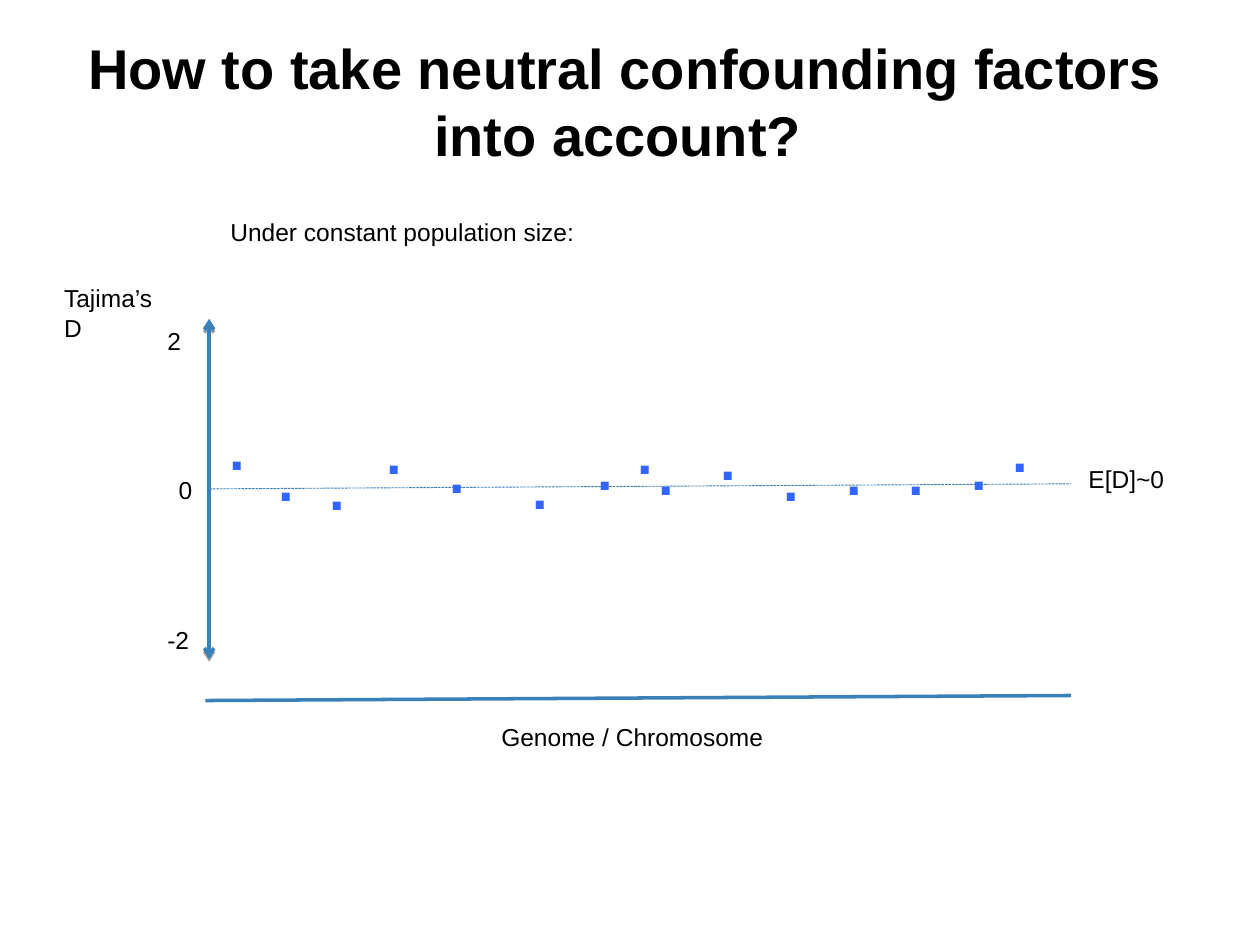
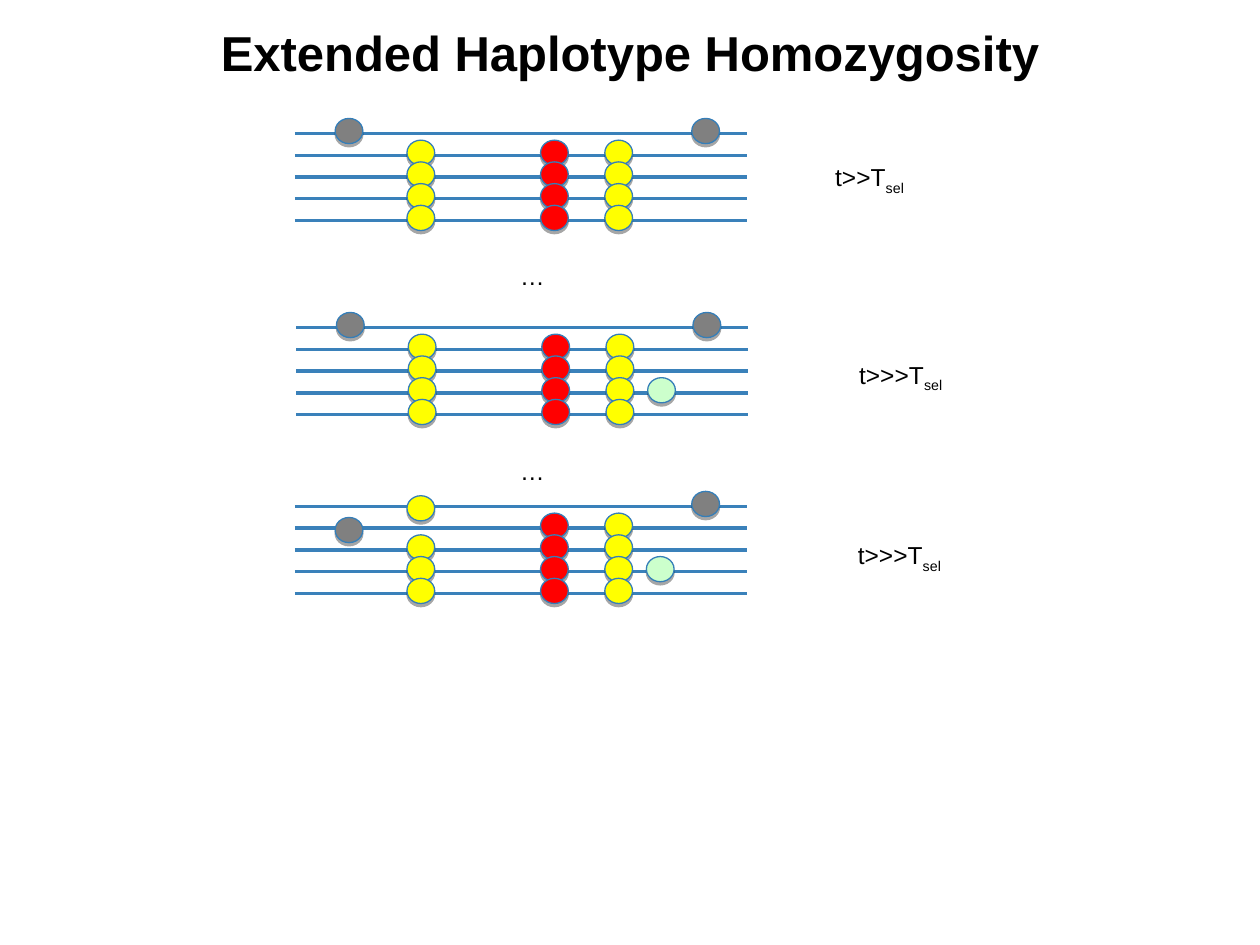
from lxml import etree
from pptx import Presentation
from pptx.dml.color import RGBColor
from pptx.enum.dml import MSO_LINE
from pptx.enum.shapes import MSO_CONNECTOR, MSO_SHAPE
from pptx.enum.text import MSO_ANCHOR, MSO_AUTO_SIZE, PP_ALIGN
from pptx.oxml import parse_xml
from pptx.oxml.ns import nsdecls, qn
from pptx.util import Inches, Pt

# Shared style
FONT = "Arial"
BLACK = RGBColor(0x00, 0x00, 0x00)
LINE_BLUE = RGBColor(0x3A, 0x81, 0xBA)
RIM_BLUE = RGBColor(0x35, 0x7E, 0xB8)
DOT_BLUE = RGBColor(0x33, 0x66, 0xFF)
GREY = RGBColor(0x80, 0x80, 0x80)
YELLOW = RGBColor(0xFF, 0xFF, 0x00)
RED = RGBColor(0xFF, 0x00, 0x00)
MINT = RGBColor(0xCC, 0xFF, 0xCC)
BODY_SIZE, BIG_SIZE = 14, 32

# Slide 1: Tajima's D along the genome (left, top, width, text)
TAJIMA_TITLE = "How to take neutral confounding factors into account? "
TAJIMA_LABELS = [
    (0.41, 2.20, 1.09, "Tajima’s D"),
    (1.32, 3.72, 0.31, "0"),
    (1.23, 2.54, 0.31, "2"),
    (1.23, 4.91, 0.37, "-2"),
    (3.88, 5.68, 2.28, "Genome / Chromosome"),
    (8.54, 3.63, 0.80, "E[D]~0"),
    (1.73, 1.67, 2.93, "Under constant population size:"),
]
AXIS_X, PLOT_RIGHT = 1.66, 8.5
ZERO_Y, AXIS_TOP, AXIS_BOTTOM = 3.84, 2.53, 5.23
DOT_SIZE = (0.32, 0.63)
DOTS = [
    (1.72, 3.24), (2.11, 3.49), (2.52, 3.56), (2.97, 3.27), (3.47, 3.42),
    (4.13, 3.55), (4.64, 3.40), (4.96, 3.27), (5.13, 3.44), (5.62, 3.32),
    (6.12, 3.49), (6.62, 3.44), (7.11, 3.44), (7.61, 3.40), (7.94, 3.26),
]

# Slide 2: each panel has five haplotypes; alleles are (site, colour, rows)
EHH_TITLE = "Extended Haplotype Homozygosity"
SITES = {"outer left": 0.32, "left": 0.89, "selected": 1.95,
         "right": 2.46, "new": 2.79, "outer right": 3.15}
SWEPT = [1, 2, 3, 4]
COMMON = [("selected", RED, SWEPT), ("right", YELLOW, SWEPT),
          ("outer right", GREY, [0])]
LINKED = [("outer left", GREY, [0]), ("left", YELLOW, SWEPT)]
MUTATION = [("new", MINT, [3])]
RECOMBINED = [("outer left", GREY, [1.2]), ("left", YELLOW, [0.2, 2, 3, 4])]
PANELS = [
    {"at": (2.34, 1.06), "alleles": COMMON + LINKED,
     "time": "t>>T", "time_at": (6.53, 1.24)},
    {"at": (2.35, 2.60), "alleles": COMMON + LINKED + MUTATION,
     "time": "t>>>T", "time_at": (6.72, 2.81)},
    {"at": (2.34, 4.02), "alleles": COMMON + RECOMBINED + MUTATION,
     "time": "t>>>T", "time_at": (6.71, 4.24)},
]
ELLIPSES = [(4.03, 2.02), (4.03, 3.57)]
HAPLOTYPES, HAPLOTYPE_LENGTH, ROW_PITCH = 5, 3.59, 0.69 / 4
ALLELE_SIZE, ALLELE_LIFT = (0.22, 0.20), 0.12


def add_run(paragraph, text, size=BODY_SIZE, color=BLACK, bold=False):
    run = paragraph.add_run()
    run.text = text
    run.font.name, run.font.size, run.font.bold = FONT, Pt(size), bold
    run.font.color.rgb = color
    return run


def add_title_slide(prs, text, box, size):
    slide = prs.slides.add_slide(prs.slide_layouts[5])
    title = slide.shapes.title
    title.left, title.top, title.width, title.height = map(Inches, box)
    frame = title.text_frame
    frame.auto_size, frame.word_wrap = MSO_AUTO_SIZE.NONE, True
    frame.vertical_anchor = MSO_ANCHOR.MIDDLE
    frame.margin_left = frame.margin_right = Inches(0.1)
    frame.margin_top = frame.margin_bottom = Inches(0.1)
    paragraph = frame.paragraphs[0]
    paragraph.alignment = PP_ALIGN.CENTER
    add_run(paragraph, text, size, bold=True)
    return slide


def add_label(slide, box, text, wrap=False, **style):
    label = slide.shapes.add_textbox(*map(Inches, box))
    frame = label.text_frame
    frame.word_wrap = wrap
    frame.auto_size = MSO_AUTO_SIZE.SHAPE_TO_FIT_TEXT
    add_run(frame.paragraphs[0], text, **style)
    return frame.paragraphs[0]


def set_shadow(shape, alpha=0, distance=0):
    """Straight-down black shadow; none when alpha is 0."""
    effects = etree.SubElement(shape._element.spPr, qn("a:effectLst"))
    if alpha:
        effects.append(parse_xml(
            f'<a:outerShdw {nsdecls("a")} blurRad="0" dist="{Pt(distance)}" '
            f'dir="5400000" rotWithShape="0"><a:srgbClr val="000000">'
            f'<a:alpha val="{alpha * 1000}"/></a:srgbClr></a:outerShdw>'))


def add_line(shapes, start, end, width=2, dash=None, arrow=False):
    line = shapes.add_connector(
        MSO_CONNECTOR.STRAIGHT, *map(Inches, (*start, *end)))
    line.line.color.rgb, line.line.width = LINE_BLUE, Pt(width)
    if dash:
        line.line.dash_style = dash
    if arrow:
        etree.SubElement(line.line._get_or_add_ln(), qn("a:tailEnd"), type="arrow")
        set_shadow(line, 38, 1.6)
    else:
        set_shadow(line)


def add_allele(shapes, left, top, color):
    allele = shapes.add_shape(
        MSO_SHAPE.OVAL, *map(Inches, (left, top, *ALLELE_SIZE)))
    allele.fill.solid()
    allele.fill.fore_color.rgb = color
    allele.line.color.rgb, allele.line.width = RIM_BLUE, Pt(0.75)
    set_shadow(allele, 35, 1.8)


def build_tajima(prs):
    slide = add_title_slide(prs, TAJIMA_TITLE, (0.55, 0.47, 8.83, 0.66), BIG_SIZE)
    # Zero line, both halves of the D axis, genome line
    add_line(slide.shapes, (AXIS_X, 3.88), (PLOT_RIGHT, ZERO_Y), 0.5,
             dash=MSO_LINE.SQUARE_DOT)
    for tip in (AXIS_TOP, AXIS_BOTTOM):
        add_line(slide.shapes, (AXIS_X, ZERO_Y), (AXIS_X, tip), arrow=True)
    add_line(slide.shapes, (1.63, 5.56), (PLOT_RIGHT, 5.52))
    for left, top, width, text in TAJIMA_LABELS:
        add_label(slide, (left, top, width, 0.33), text)
    for dot in DOTS:
        add_label(slide, (*dot, *DOT_SIZE), ".", size=BIG_SIZE,
                  color=DOT_BLUE, bold=True)


def build_ehh(prs):
    slide = add_title_slide(prs, EHH_TITLE, (0.5, 0.08, 9, 0.66), 28)
    for panel in PANELS:
        left, top = panel["at"]
        shapes = slide.shapes.add_group_shape().shapes
        for row in range(HAPLOTYPES):
            y = top + row * ROW_PITCH
            add_line(shapes, (left, y), (left + HAPLOTYPE_LENGTH, y))
        for site, color, rows in panel["alleles"]:
            for row in rows:
                add_allele(shapes, left + SITES[site],
                           top + row * ROW_PITCH - ALLELE_LIFT, color)
        # Time since selection, with a subscript
        time = add_label(slide, (*panel["time_at"], 1.08, 0.36),
                         panel["time"], wrap=True)
        subscript = add_run(time, "sel")
        subscript._r.get_or_add_rPr().set("baseline", "-25000")
    for place in ELLIPSES:
        add_label(slide, (*place, 0.39, 0.33), "…")


def main():
    prs = Presentation()
    prs.slide_width, prs.slide_height = Inches(10), Inches(7.5)
    build_tajima(prs)
    build_ehh(prs)
    prs.save("out.pptx")


if __name__ == "__main__":
    main()
